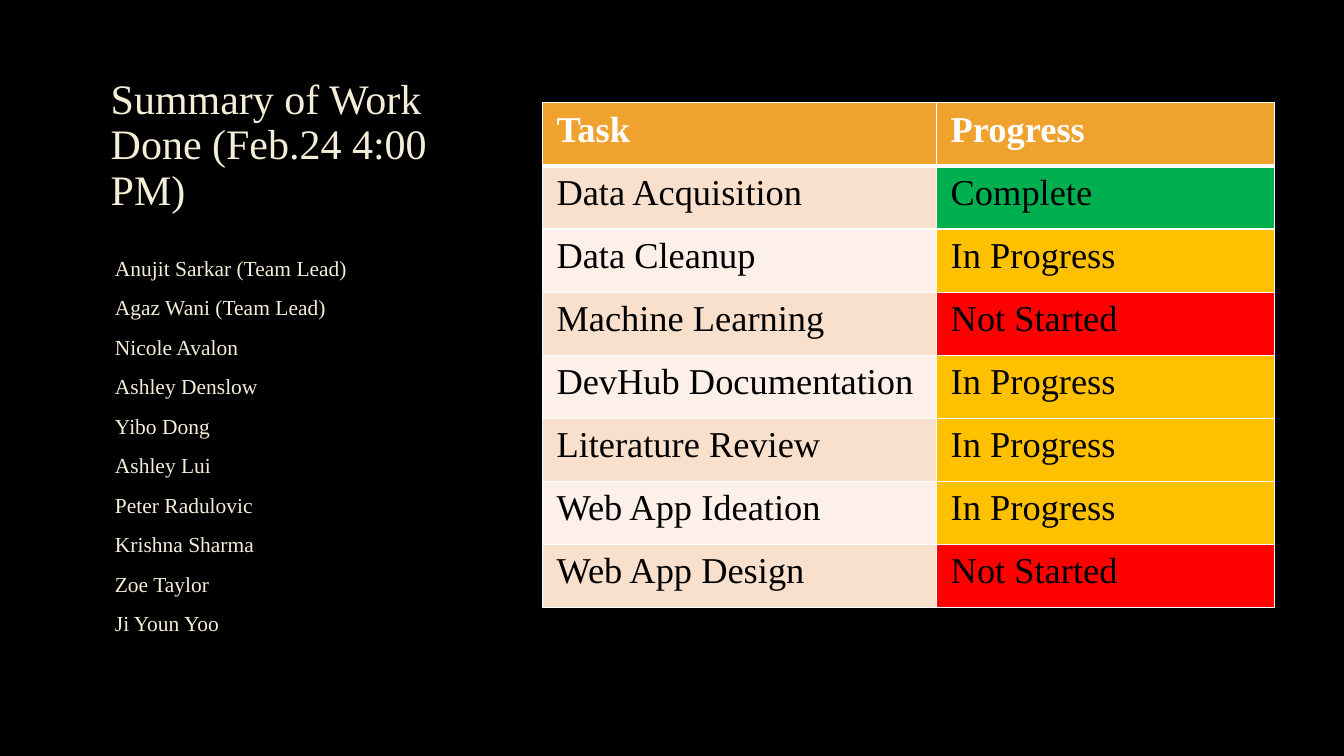
from lxml import etree
from pptx import Presentation
from pptx.dml.color import RGBColor
from pptx.enum import text as txt
from pptx.oxml import ns
from pptx.util import Inches, Pt

FONT = "Times New Roman"
BLACK = RGBColor(0x00, 0x00, 0x00)
WHITE = RGBColor(0xFF, 0xFF, 0xFF)
CREAM = RGBColor(0xF4, 0xED, 0xD8)
OUTLINE = RGBColor(0x40, 0x40, 0x40)
ORANGE = RGBColor(0xF0, 0xA2, 0x2E)
BANDS = [RGBColor(0xF9, 0xE0, 0xCD), RGBColor(0xFC, 0xF0, 0xE8)]
STATUS_COLORS = {
    "Complete": RGBColor(0x00, 0xB0, 0x50),
    "In Progress": RGBColor(0xFF, 0xC0, 0x00),
    "Not Started": RGBColor(0xFF, 0x00, 0x00),
}

TITLE = "Summary of Work Done (Feb.24 4:00 PM)"
TEAM = [
    "Anujit Sarkar (Team Lead)",
    "Agaz Wani (Team Lead)",
    "Nicole Avalon",
    "Ashley Denslow",
    "Yibo Dong",
    "Ashley Lui",
    "Peter Radulovic",
    "Krishna Sharma",
    "Zoe Taylor",
    "Ji Youn Yoo",
]
TASKS = [
    ("Data Acquisition", "Complete"),
    ("Data Cleanup", "In Progress"),
    ("Machine Learning", "Not Started"),
    ("DevHub Documentation", "In Progress"),
    ("Literature Review", "In Progress"),
    ("Web App Ideation", "In Progress"),
    ("Web App Design", "Not Started"),
]


def line_xml(tag, color, width, alpha=100):
    line = etree.Element(ns.qn(tag), w=str(Pt(width)))
    fill = etree.SubElement(line, ns.qn("a:solidFill"))
    rgb = etree.SubElement(fill, ns.qn("a:srgbClr"), val=str(color))
    if alpha < 100:
        etree.SubElement(rgb, ns.qn("a:alpha"), val=str(alpha * 1000))
    return line


def write(paragraph, words, size, color, bold=False, outlined=False):
    run = paragraph.add_run()
    run.text = words
    run.font.name = FONT
    run.font.size = Pt(size)
    run.font.bold = bold
    run.font.color.rgb = color
    if outlined:
        run.font._element.insert(0, line_xml("a:ln", OUTLINE, 0.75, 10))


def add_frame(slide, left, top, width, height, anchor):
    frame = slide.shapes.add_textbox(
        Inches(left), Inches(top), Inches(width), Inches(height)).text_frame
    frame.word_wrap = True
    frame.vertical_anchor = anchor
    return frame


def add_title(slide):
    frame = add_frame(slide, 1, 0.7, 3.7, 1.5, txt.MSO_ANCHOR.MIDDLE)
    heading = frame.paragraphs[0]
    heading.line_spacing = 0.9
    write(heading, TITLE, 30, CREAM, outlined=True)


def add_team(slide):
    frame = add_frame(slide, 1, 2.46, 3.67, 3.88, txt.MSO_ANCHOR.TOP)
    frame.margin_left = Inches(0.14)
    frame.margin_top = Inches(0.07)
    for index, member in enumerate(TEAM):
        entry = frame.paragraphs[0] if index == 0 else frame.add_paragraph()
        entry.space_before = Pt(3.8 if index else 0)
        entry.space_after = Pt(6)
        write(entry, member, 15.3, CREAM, outlined=True)


def fill_cell(cell, words, fill, color=BLACK, bold=False, top=1, bottom=1):
    cell.margin_left = cell.margin_right = Inches(0.14)
    cell.margin_top = cell.margin_bottom = Inches(0.07)
    cell.fill.solid()
    cell.fill.fore_color.rgb = fill
    borders = {"a:lnL": 1, "a:lnR": 1, "a:lnT": top, "a:lnB": bottom}
    properties = cell._tc.get_or_add_tcPr()
    for position, (side, width) in enumerate(borders.items()):
        properties.insert(position, line_xml(side, WHITE, width))
    write(cell.text_frame.paragraphs[0], words, 26, color, bold)


def add_progress_table(slide):
    table = slide.shapes.add_table(
        len(TASKS) + 1, 2, Inches(5.38), Inches(1.02),
        Inches(7.26), Inches(5.01)).table
    for column, width in zip(table.columns, (3.91, 3.35)):
        column.width = Inches(width)
    for column, label in enumerate(("Task", "Progress")):
        fill_cell(table.cell(0, column), label, ORANGE, WHITE, True, bottom=3)
    for row, (task, status) in enumerate(TASKS, start=1):
        top = 3 if row == 1 else 1
        fill_cell(table.cell(row, 0), task, BANDS[(row - 1) % 2], top=top)
        fill_cell(table.cell(row, 1), status, STATUS_COLORS[status], top=top)


def main():
    deck = Presentation()
    deck.slide_width = Inches(13.33)
    deck.slide_height = Inches(7.5)
    slide = deck.slides.add_slide(deck.slide_layouts[6])
    slide.background.fill.solid()
    slide.background.fill.fore_color.rgb = BLACK
    add_title(slide)
    add_team(slide)
    add_progress_table(slide)
    deck.save("out.pptx")


if __name__ == "__main__":
    main()
